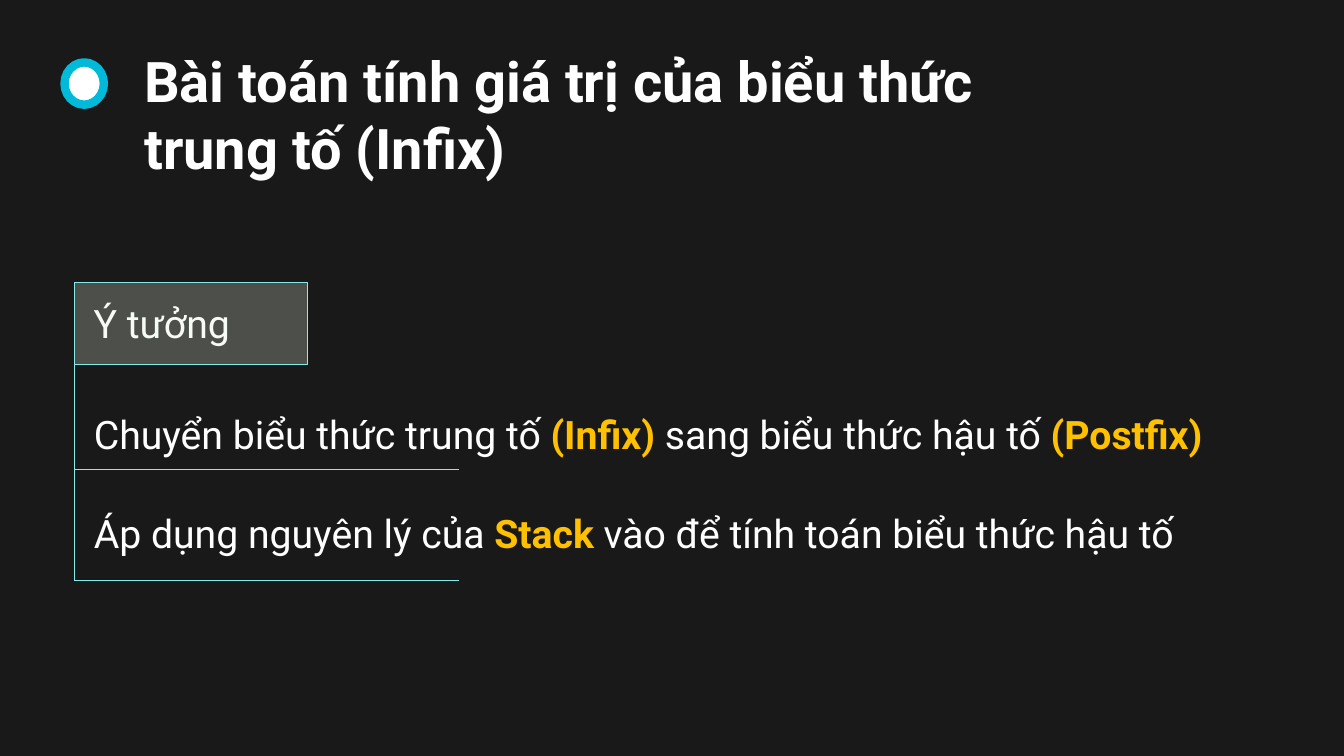
"""Builds the slide on evaluating infix expressions."""
from lxml.etree import SubElement
from pptx import Presentation
from pptx.dml.color import RGBColor
from pptx.enum.shapes import MSO_CONNECTOR as CONNECTOR, MSO_SHAPE as SHAPE
from pptx.enum.text import MSO_ANCHOR as ANCHOR, MSO_AUTO_SIZE as AUTO_SIZE, PP_ALIGN as ALIGN
from pptx.oxml.ns import qn
from pptx.util import Pt

BACKGROUND = RGBColor(0x19, 0x19, 0x19)
WHITE = RGBColor(0xFF, 0xFF, 0xFF)
GOLD = RGBColor(0xFF, 0xC0, 0x00)
BLUE = RGBColor(0x01, 0xB9, 0xD9)
AQUA = RGBColor(0x86, 0xEA, 0xE9)
PALE_GREEN = RGBColor(0xE2, 0xF0, 0xD9)


def add_text(paragraph, text, size=28, color=WHITE, bold=False):
    run = paragraph.add_run()
    run.text = text
    run.font.name = "Roboto"
    run.font.size = Pt(size)
    run.font.bold = bold
    run.font.color.rgb = color


def place(box, left, top, width, height):
    box.left, box.top, box.width, box.height = Pt(left), Pt(top), Pt(width), Pt(height)
    frame = box.text_frame
    frame.word_wrap = True
    frame.auto_size = AUTO_SIZE.NONE
    frame.vertical_anchor = ANCHOR.TOP
    return frame


deck = Presentation()
deck.slide_width, deck.slide_height = Pt(960), Pt(540)
slide = deck.slides.add_slide(deck.slide_layouts[1])
slide.background.fill.solid()
slide.background.fill.fore_color.rgb = BACKGROUND
shapes = slide.shapes

heading = place(shapes.title, 95.8, 29.5, 694, 104.4).paragraphs[0]
heading.alignment = ALIGN.LEFT
add_text(heading, "Bài toán tính giá trị của biểu thức trung tố (Infix)", size=40, bold=True)

steps = [
    [("Chuyển biểu thức trung tố ", False), ("(Infix) ", True),
     ("sang biểu thức hậu tố ", False), ("(Postfix)", True)],
    [("Áp dụng nguyên lý của ", False), ("Stack ", True),
     ("vào để tính toán biểu thức hậu tố", False)],
]
step_list = place(slide.placeholders[1], 59.8, 289.4, 825, 111)
for index, step in enumerate(steps):
    paragraph = step_list.add_paragraph() if index else step_list.paragraphs[0]
    paragraph.space_before = Pt(37 if index else 0)
    properties = paragraph._p.get_or_add_pPr()
    properties.set("marL", "0")
    properties.set("indent", "0")
    SubElement(properties, qn("a:buNone"))
    for text, key_term in step:
        add_text(paragraph, text, color=GOLD if key_term else WHITE, bold=key_term)

idea_label = place(shapes.add_textbox(0, 0, 0, 0), 59.8, 210.2, 113.8, 41)
add_text(idea_label.paragraphs[0], "Ý tưởng")

marker = shapes.add_shape(SHAPE.OVAL, Pt(46.1), Pt(44.6), Pt(28.1), Pt(30.2))
idea_frame = shapes.add_shape(SHAPE.RECTANGLE, Pt(53.3), Pt(201.6), Pt(166.3), Pt(59))
for shape, fill, outline, weight in [(marker, WHITE, BLUE, 6), (idea_frame, PALE_GREEN, AQUA, 1)]:
    shape.shadow.inherit = False
    shape.fill.solid()
    shape.fill.fore_color.rgb = fill
    shape.line.color.rgb = outline
    shape.line.width = Pt(weight)
fill_color = idea_frame._element.spPr.find(qn("a:solidFill"))[0]
SubElement(fill_color, qn("a:alpha")).set("val", "26000")

stem_x, branch_end = 53.3, 327.6
stem_top, first_branch, last_branch = 201.6, 335.5, 414.7
for x1, y1, x2, y2 in [
    (stem_x, stem_top, stem_x, last_branch),
    (stem_x, first_branch, branch_end, first_branch),
    (stem_x, last_branch, branch_end, last_branch),
]:
    rule = shapes.add_connector(CONNECTOR.STRAIGHT, Pt(x1), Pt(y1), Pt(x2), Pt(y2))
    rule.line.color.rgb = AQUA
    rule.line.width = Pt(1)
    SubElement(rule._element.spPr, qn("a:effectLst"))

deck.save("out.pptx")
